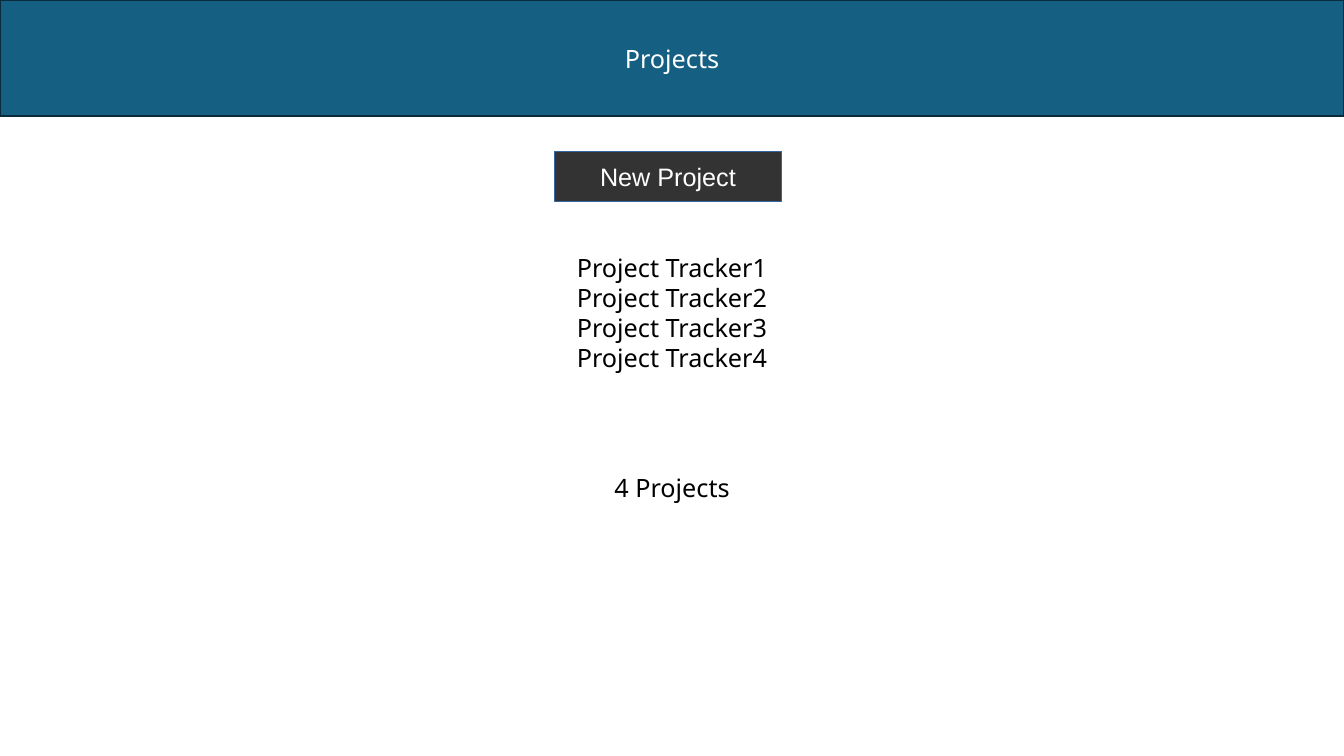
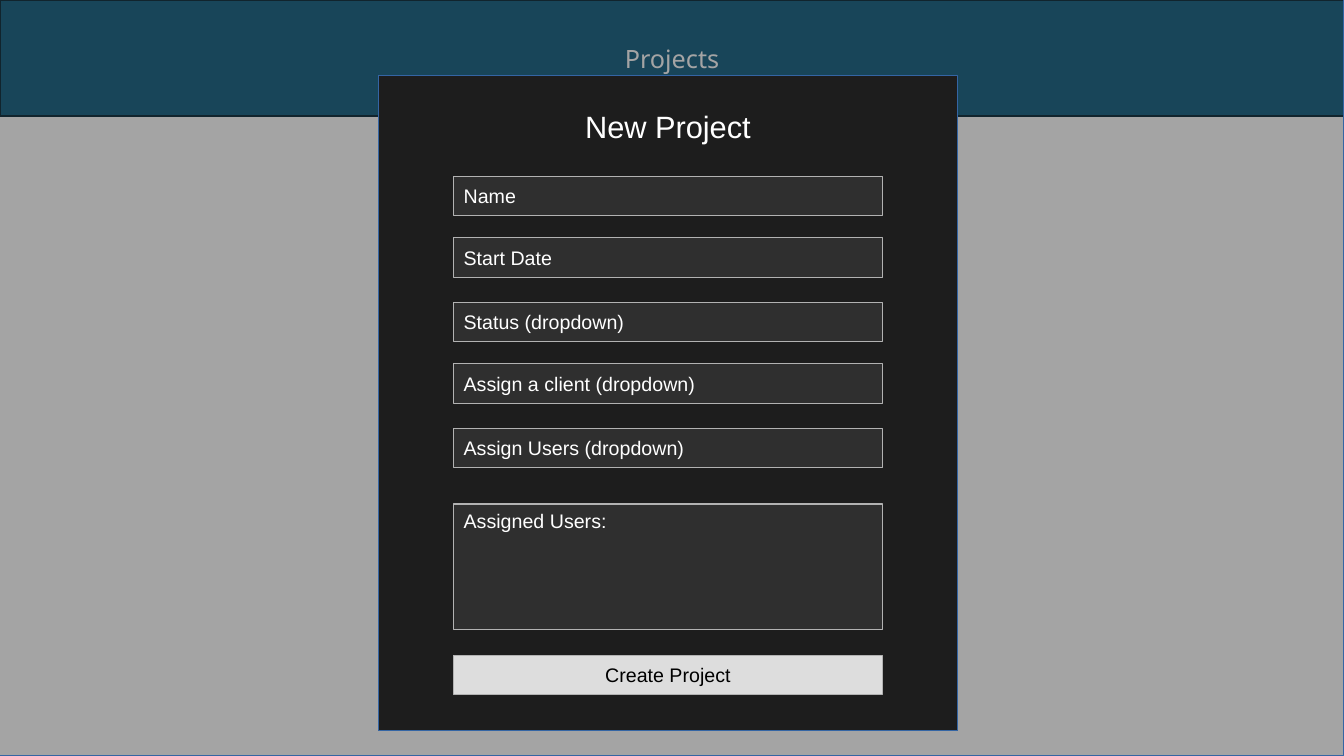
from pptx import Presentation
from pptx.dml.color import RGBColor
from pptx.enum.shapes import MSO_SHAPE
from pptx.enum.text import MSO_ANCHOR, MSO_AUTO_SIZE, PP_ALIGN
from pptx.oxml.ns import qn
from pptx.util import Inches, Pt
from lxml import etree

# Content
TITLE = "Projects"
BUTTON = "New Project"
TRACKERS = ["Project Tracker1", "Project Tracker2", "Project Tracker3", "Project Tracker4"]
COUNT = "4 Projects"
FIELDS = ["Name", "Start Date", "Status (dropdown)", "Assign a client (dropdown)",
          "Assign Users (dropdown)"]
USERS = "Assigned Users:"
SUBMIT = "Create Project"

# Colours and fonts
WHITE = RGBColor(0xFF, 0xFF, 0xFF)
BLACK = RGBColor(0x00, 0x00, 0x00)
TEAL = RGBColor(0x15, 0x60, 0x82)
DARK_TEAL = RGBColor(0x09, 0x2A, 0x38)
BLUE = RGBColor(0x34, 0x65, 0xA4)
CHARCOAL = RGBColor(0x33, 0x33, 0x33)
NIGHT = RGBColor(0x1D, 0x1D, 0x1D)
FIELD_GREY = RGBColor(0x2F, 0x2F, 0x2F)
EDGE_GREY = RGBColor(0xB2, 0xB2, 0xB2)
LIGHT_GREY = RGBColor(0xDD, 0xDD, 0xDD)
SANS, ARIAL = "Noto Sans", "Arial"

# Text formats: font, size, colour, alignment, anchor
CENTER, LEFT = PP_ALIGN.CENTER, PP_ALIGN.LEFT
MIDDLE, TOP = MSO_ANCHOR.MIDDLE, MSO_ANCHOR.TOP
TITLE_TEXT = (SANS, 18, WHITE, CENTER, MIDDLE)
PLAIN_TEXT = (SANS, 18, BLACK, CENTER, TOP)
BUTTON_TEXT = (ARIAL, 18, WHITE, CENTER, MIDDLE)
HEADING_TEXT = (ARIAL, 22, WHITE, CENTER, MIDDLE)
FIELD_TEXT = (ARIAL, 14, WHITE, LEFT, MIDDLE)
USERS_TEXT = (ARIAL, 14, WHITE, LEFT, TOP)
SUBMIT_TEXT = (ARIAL, 14, BLACK, CENTER, MIDDLE)

# Sizes in inches
WIDTH, HEIGHT = 13.33, 7.5
FORM_LEFT, FORM_WIDTH, ROW_HEIGHT = 4.5, 4.25, 0.39
LIST_LEFT, LIST_WIDTH = 4.21, 4.91
FIRST_FIELD, PAIR_STEP, FIELD_STEP = 1.75, 1.25, 0.61


def place(box, area):
    for name, value in zip(("left", "top", "width", "height"), area):
        setattr(box, name, Inches(value))


def write(box, lines, text_format):
    font_name, size, colour, align, anchor = text_format
    frame = box.text_frame
    frame_format = {"word_wrap": True, "auto_size": MSO_AUTO_SIZE.NONE,
                    "vertical_anchor": anchor,
                    "margin_left": Inches(0.1), "margin_right": Inches(0.1),
                    "margin_top": Inches(0.05), "margin_bottom": Inches(0.05)}
    for name, value in frame_format.items():
        setattr(frame, name, value)
    frame.text = "\n".join(lines)
    para_format = {"alignment": align, "space_before": Pt(0), "line_spacing": 1.0}
    for para in frame.paragraphs:
        for name, value in para_format.items():
            setattr(para, name, value)
        span = para.runs[0]
        for name, value in {"name": font_name, "size": Pt(size)}.items():
            setattr(span.font, name, value)
        span.font.color.rgb = colour


def paint(box, fill, line, line_width=0):
    box.fill.solid()
    box.fill.fore_color.rgb = fill
    box.line.color.rgb = line
    box.line.width = Pt(line_width)


def add_panel(page, area, fill, line, text=None, text_format=None):
    box = page.shapes.add_shape(MSO_SHAPE.RECTANGLE, *map(Inches, area))
    box.shadow.inherit = False
    paint(box, fill, line)
    if text:
        write(box, [text], text_format)
    return box


def add_label(page, area, text, text_format):
    write(page.shapes.add_textbox(*map(Inches, area)), [text], text_format)


def add_page(deck, layout_name):
    """Start a page with the shared title band."""
    page = deck.slides.add_slide(deck.slide_layouts.get_by_name(layout_name))
    title = page.shapes.title
    place(title, (0, 0, WIDTH, 1.15))
    paint(title, TEAL, DARK_TEAL, 1.5)
    write(title, [TITLE], TITLE_TEXT)
    return page


def build_list_page(deck):
    page = add_page(deck, "Title and Content")
    trackers = page.placeholders[1]
    place(trackers, (LIST_LEFT, 2.45, LIST_WIDTH, 1.3))
    write(trackers, TRACKERS, PLAIN_TEXT)
    # Lines without bullets or hanging indent
    for para in trackers.text_frame.paragraphs:
        props = para._p.get_or_add_pPr()
        props.set("marL", "0")
        props.set("indent", "0")
        etree.SubElement(props, qn("a:buNone"))
    add_label(page, (LIST_LEFT, 4.64, LIST_WIDTH, 0.4), COUNT, PLAIN_TEXT)
    add_panel(page, (5.5, 1.5, 2.25, 0.5), CHARCOAL, BLUE, BUTTON, BUTTON_TEXT)


def build_form_page(deck):
    page = add_page(deck, "Title Only")
    # Dimmed page behind the dialog
    veil = add_panel(page, (0, 0, WIDTH, HEIGHT), NIGHT, BLUE)
    tint = veil._element.spPr.find(qn("a:solidFill"))[0]
    etree.SubElement(tint, qn("a:alpha")).set("val", "40000")
    # Dialog and heading
    add_panel(page, (3.75, 0.75, 5.75, 6.5), NIGHT, BLUE)
    add_label(page, (FORM_LEFT, 1, FORM_WIDTH, 0.5), BUTTON, HEADING_TEXT)
    # Fields, set in pairs
    rows = []
    for index, text in enumerate(FIELDS):
        pair, second = divmod(index, 2)
        top = FIRST_FIELD + pair * PAIR_STEP + second * FIELD_STEP
        rows.append((top, ROW_HEIGHT, FIELD_GREY, text, FIELD_TEXT))
    rows.append((5, 1.25, FIELD_GREY, USERS, USERS_TEXT))
    rows.append((6.5, ROW_HEIGHT, LIGHT_GREY, SUBMIT, SUBMIT_TEXT))
    for top, height, fill, text, text_format in rows:
        add_panel(page, (FORM_LEFT, top, FORM_WIDTH, height), fill, EDGE_GREY,
                  text, text_format)


def main():
    deck = Presentation()
    deck.slide_width, deck.slide_height = Inches(WIDTH), Inches(HEIGHT)
    build_list_page(deck)
    build_form_page(deck)
    deck.save("out.pptx")


if __name__ == "__main__":
    main()
